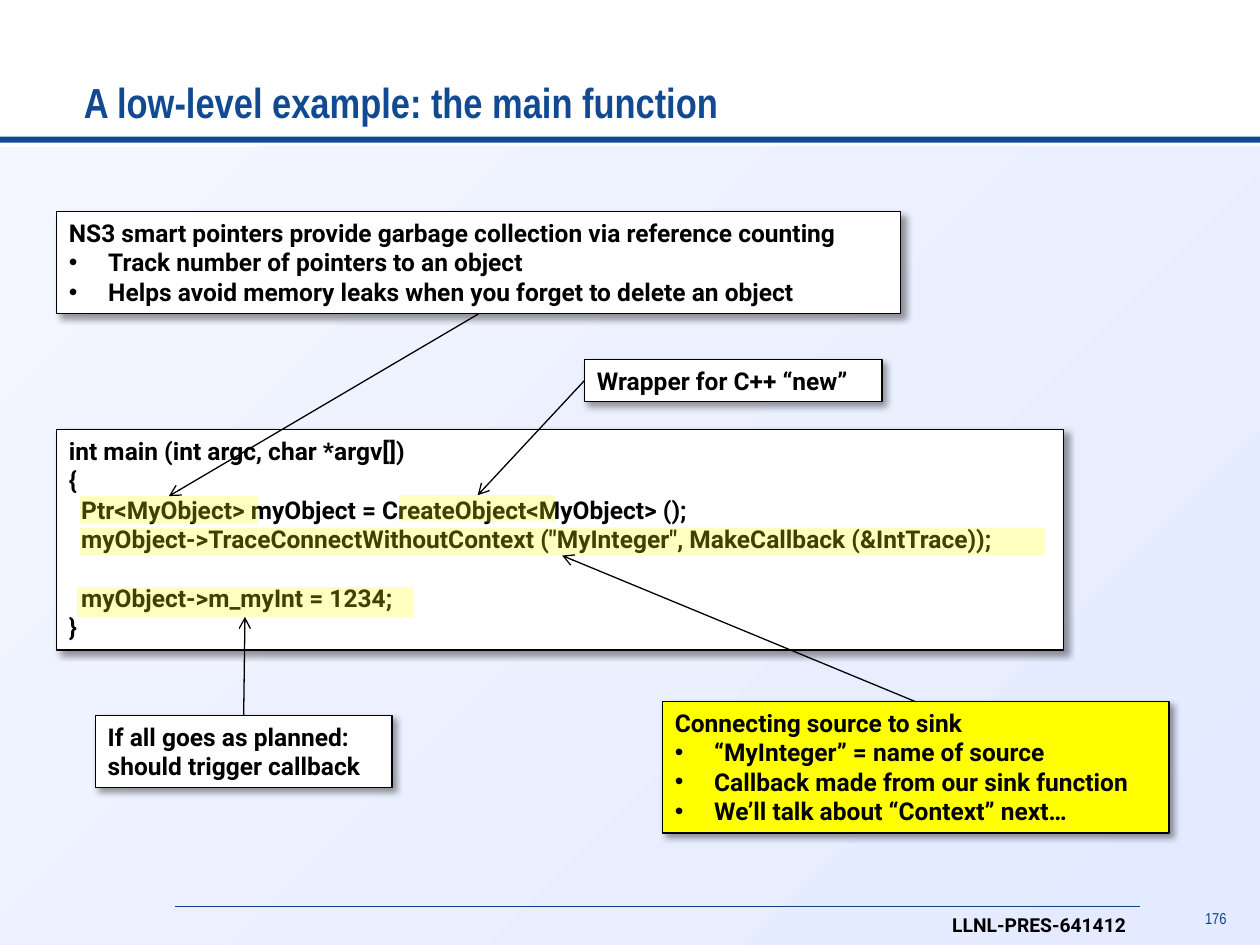
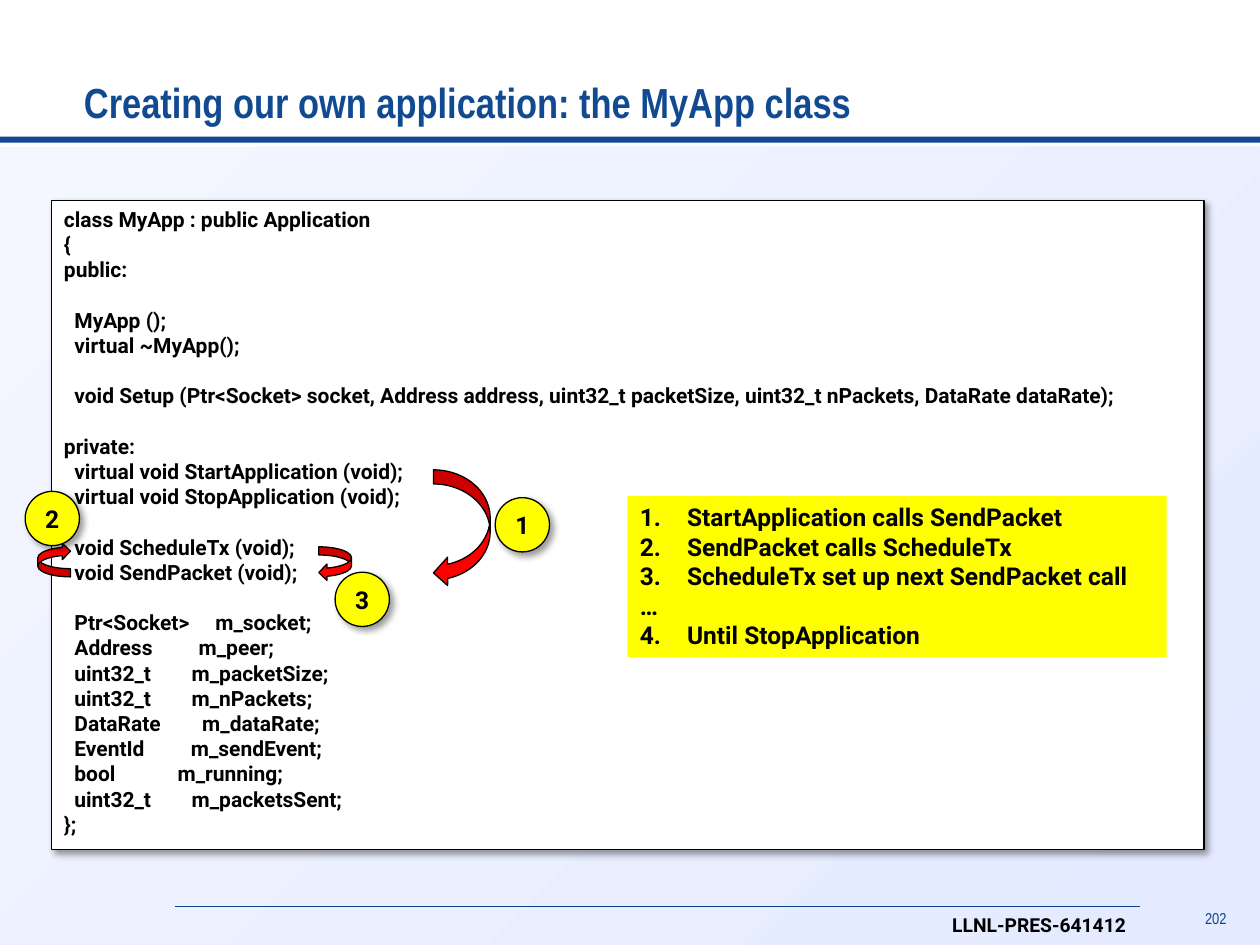
"""Build two slides that walk through low-level NS3 tracing and application code."""
import pptx
import pptx.dml.color
import pptx.enum.shapes
import pptx.enum.text
import pptx.oxml
import pptx.oxml.ns
import pptx.oxml.xmlchemy
import pptx.util

Pt = pptx.util.Pt
RGBColor = pptx.dml.color.RGBColor
SHAPE = pptx.enum.shapes.MSO_SHAPE
ANCHOR = pptx.enum.text.MSO_ANCHOR
ALIGN = pptx.enum.text.PP_ALIGN
qn = pptx.oxml.ns.qn

NAVY = RGBColor(0x12, 0x4A, 0x91)
FOOTER_BLUE = RGBColor(0x10, 0x42, 0x8C)
PALE_TOP = RGBColor(0xF4, 0xF7, 0xFF)
PALE_BOTTOM = RGBColor(0xE4, 0xEA, 0xFF)
BLACK = RGBColor(0, 0, 0)
WHITE = RGBColor(0xFF, 0xFF, 0xFF)
YELLOW = RGBColor(0xFF, 0xFF, 0)
RED = RGBColor(0xFF, 0, 0)

HEAD_FONT = "Arial Narrow"
BODY_FONT = "Roboto"
NOTE_SIZE = 14
LINE_HEIGHT = 1.2
BOTTOM, LEFT, TOP = 2, 1, 0
BULLET_INDENT = 22.5
NUMBER_INDENT = 27

MAIN_CODE = """int main (int argc, char *argv[])
{
  Ptr<MyObject> myObject = CreateObject<MyObject> ();
  myObject->TraceConnectWithoutContext ("MyInteger", MakeCallback (&IntTrace));

  myObject->m_myInt = 1234;
}"""

CLASS_CODE = """class MyApp : public Application
{
public:

  MyApp ();
  virtual ~MyApp();

  void Setup (Ptr<Socket> socket, Address address, uint32_t packetSize, uint32_t nPackets, DataRate dataRate);

private:
  virtual void StartApplication (void);
  virtual void StopApplication (void);

  void ScheduleTx (void);
  void SendPacket (void);
"""

MEMBERS = [
    ("Ptr<Socket>", "m_socket", 86.5),
    ("Address", "m_peer", 77),
    ("uint32_t", "m_packetSize", 73),
    ("uint32_t", "m_nPackets", 73),
    ("DataRate", "m_dataRate", 79),
    ("EventId", "m_sendEvent", 72.5),
    ("bool", "m_running", 65),
    ("uint32_t", "m_packetsSent", 73),
]

CALL_STEPS = [
    "StartApplication calls SendPacket",
    "SendPacket calls ScheduleTx",
    "ScheduleTx set up next SendPacket call",
]


def add_element(parent, tag, **attrs):
    """Append a DrawingML child with the given attributes."""
    child = parent.makeelement(qn(tag), {k: str(v) for k, v in attrs.items()})
    parent.append(child)
    return child


def add_run(p, text, size, color=BLACK, font=BODY_FONT, bold=True):
    """Append one formatted run to a paragraph."""
    r = p.add_run()
    r.text = text
    r.font.size, r.font.name, r.font.bold = Pt(size), font, bold
    r.font.color.rgb = color


def next_paragraph(tf):
    """Return the unused first paragraph, or a new one."""
    p = tf.paragraphs[0] if not tf.paragraphs[0].runs else tf.add_paragraph()
    p.alignment = ALIGN.LEFT
    return p


def add_line(tf, text, size=NOTE_SIZE):
    """Add one plain paragraph."""
    p = next_paragraph(tf)
    add_run(p, text, size)
    return p


def add_code(tf, code, size):
    """Add code lines, with an empty line becoming space before the next."""
    gap = False
    for text in code.splitlines():
        if text:
            p = add_line(tf, text, size)
            if gap:
                p.space_before = Pt(size * LINE_HEIGHT)
        gap = not text


def add_item(tf, text, number=None):
    """Add a bulleted paragraph, or a numbered one if a number is given."""
    p = next_paragraph(tf)
    indent = Pt(NUMBER_INDENT if number else BULLET_INDENT)
    pPr = p._p.get_or_add_pPr()
    pPr.set("marL", str(indent))
    pPr.set("indent", str(-indent))
    if number:
        add_element(pPr, "a:buFont", typeface="+mj-lt")
        add_element(pPr, "a:buAutoNum", type="arabicPeriod", startAt=number)
    else:
        add_element(pPr, "a:buFont", typeface="Arial")
        add_element(pPr, "a:buChar", char="•")
    add_run(p, text, NOTE_SIZE)


def add_member(tf, kind, name, stop, size):
    """Add a class member whose name starts at a tab stop."""
    p = next_paragraph(tf)
    tabs = add_element(p._p.get_or_add_pPr(), "a:tabLst")
    add_element(tabs, "a:tab", pos=Pt(stop), algn="l")
    add_run(p, f"  {kind}\t{name};", size)
    return p


def add_shape(slide, kind, box, fill, outlined=False, shadow=False):
    """Add a filled preset shape, optionally with outline and shadow."""
    s = slide.shapes.add_shape(kind, *map(Pt, box))
    s.shadow.inherit = False
    s.fill.solid()
    s.fill.fore_color.rgb = fill
    if outlined:
        s.line.color.rgb = BLACK
        s.line.width = Pt(0.75)
    else:
        s.line.fill.background()
    if shadow:
        effects = s._element.spPr.find(qn("a:effectLst"))
        outer = add_element(effects, "a:outerShdw", blurRad=Pt(4), dist=Pt(3),
                            dir=45 * 60000, algn="tl", rotWithShape=0)
        color = add_element(outer, "a:srgbClr", val=BLACK)
        add_element(color, "a:alpha", val=40000)
    s.text_frame.word_wrap = True
    s.text_frame.vertical_anchor = ANCHOR.TOP
    return s


def add_panel(slide, box, fill=WHITE):
    """Add an outlined rectangle with a shadow for text."""
    return add_shape(slide, SHAPE.RECTANGLE, box, fill, True, True)


def add_highlight(slide, box):
    """Add a translucent yellow marker over code."""
    s = add_shape(slide, SHAPE.RECTANGLE, box, YELLOW)
    color = s._element.spPr.find(qn("a:solidFill")).find(qn("a:srgbClr"))
    add_element(color, "a:alpha", val=25000)
    return s


def add_straight(slide, start, end, color, width):
    """Add a straight connector without a shadow."""
    c = slide.shapes.add_connector(pptx.enum.shapes.MSO_CONNECTOR.STRAIGHT,
                                   *map(Pt, start + end))
    c.line.color.rgb = color
    c.line.width = Pt(width)
    add_element(c._element.spPr, "a:effectLst")
    return c


def add_arrow(slide, source, source_side, target, target_side):
    """Join two shapes with an open-headed arrow."""
    c = add_straight(slide, (0, 0), (0, 0), BLACK, 0.75)
    c.begin_connect(source, source_side)
    c.end_connect(target, target_side)
    add_element(c.line._get_or_add_ln(), "a:tailEnd", type="arrow")


def add_curved_arrow(slide, kind, box, flip=None):
    """Add a red curved arrow, flipped if asked."""
    s = add_shape(slide, kind, box, RED, True)
    if flip:
        s._element.spPr.xfrm.set(flip, "1")


def add_step_circle(slide, left, top, number):
    """Add a numbered yellow circle."""
    s = add_shape(slide, SHAPE.OVAL, (left, top, 31, 31), YELLOW, True, True)
    tf = s.text_frame
    tf.margin_left = tf.margin_right = 0
    tf.vertical_anchor = ANCHOR.MIDDLE
    add_line(tf, str(number)).alignment = ALIGN.CENTER


def add_label(slide, box, text, size, color=BLACK, font=BODY_FONT, bold=True, inset=7.2):
    """Add a one-line text box and return its text frame."""
    tf = slide.shapes.add_textbox(*map(Pt, box)).text_frame
    tf.word_wrap = True
    tf.margin_left = Pt(inset)
    add_run(tf.paragraphs[0], text, size, color, font, bold)
    return tf


def add_base_slide(prs, title, number):
    """Add a slide with the shared background, title, rule and footer."""
    slide = prs.slides.add_slide(prs.slide_layouts[6])
    backdrop = add_shape(slide, SHAPE.RECTANGLE, (0, 84, 720, 456), PALE_TOP)
    backdrop.fill.gradient()
    backdrop.fill.gradient_angle = 315
    for stop, color in zip(backdrop.fill.gradient_stops, (PALE_TOP, PALE_BOTTOM)):
        stop.color.rgb = color
    add_shape(slide, SHAPE.RECTANGLE, (0, 78, 720, 3.5), NAVY)
    add_straight(slide, (100, 517.7), (651.5, 517.7), FOOTER_BLUE, 0.5)
    tf = add_label(slide, (683, 518.5, 25, 16), str(number), 9, FOOTER_BLUE,
                   HEAD_FONT, False, 0)
    tf.paragraphs[0].alignment = ALIGN.RIGHT
    tf.paragraphs[0].line_spacing = 0.75
    add_label(slide, (537, 518.5, 118, 21), "LLNL-PRES-641412", 11)
    tf = add_label(slide, (48, 12, 626, 64), title, 24, NAVY, HEAD_FONT, inset=0)
    tf.vertical_anchor = ANCHOR.BOTTOM
    return slide


def build_main_function(prs):
    """Build the annotated main function slide."""
    slide = add_base_slide(prs, "A low-level example: the main function", 176)
    code = add_panel(slide, (32.3, 245.5, 575.5, 126))
    add_code(code.text_frame, MAIN_CODE, 14)

    pointers = add_panel(slide, (32.3, 121, 482.5, 58.3))
    add_line(pointers.text_frame,
             "NS3 smart pointers provide garbage collection via reference counting")
    add_item(pointers.text_frame, "Track number of pointers to an object")
    add_item(pointers.text_frame,
             "Helps avoid memory leaks when you forget to delete an object")

    wrapper = add_panel(slide, (334, 205.3, 170, 24.3))
    add_line(wrapper.text_frame, "Wrapper for C++ “new”")

    connecting = add_panel(slide, (378.5, 401, 289.5, 75), YELLOW)
    add_line(connecting.text_frame, "Connecting source to sink")
    for text in ("“MyInteger” = name of source",
                 "Callback made from our sink function",
                 "We’ll talk about “Context” next…"):
        add_item(connecting.text_frame, text)

    planned = add_panel(slide, (54.5, 409, 169.5, 41.2))
    add_line(planned.text_frame, "If all goes as planned: should trigger callback")

    ptr = add_highlight(slide, (45.5, 283.5, 102, 15.3))
    create = add_highlight(slide, (228.3, 283, 89.3, 15.3))
    trace = add_highlight(slide, (45.5, 301.5, 551.5, 16))
    assign = add_highlight(slide, (44, 335.5, 192, 17))
    add_arrow(slide, pointers, BOTTOM, ptr, TOP)
    add_arrow(slide, wrapper, LEFT, create, TOP)
    add_arrow(slide, connecting, TOP, trace, BOTTOM)
    add_arrow(slide, planned, TOP, assign, BOTTOM)


def build_my_app(prs):
    """Build the MyApp class slide with its call cycle."""
    slide = add_base_slide(prs, "Creating our own application: the MyApp class", 202)
    size = 12
    tf = add_panel(slide, (29.5, 114.5, 658.5, 371)).text_frame
    add_code(tf, CLASS_CODE, size)
    members = [add_member(tf, *member, size) for member in MEMBERS]
    members[0].space_before = Pt(size * LINE_HEIGHT)
    add_line(tf, "};", size)

    add_curved_arrow(slide, SHAPE.CURVED_LEFT_ARROW, (247.7, 268.5, 32.4, 67))
    add_curved_arrow(slide, SHAPE.CURVED_RIGHT_ARROW, (21.6, 310.3, 18.7, 19.4), "flipV")
    add_curved_arrow(slide, SHAPE.CURVED_RIGHT_ARROW, (182.2, 312.5, 18.7, 19.4), "flipH")
    circles = [(283, 284.4), (14.4, 280.8), (191.5, 327)]
    for number, (left, top) in enumerate(circles, 1):
        add_step_circle(slide, left, top, number)

    steps = add_shape(slide, SHAPE.RECTANGLE, (358.5, 283.5, 308.2, 92), YELLOW).text_frame
    for number, text in enumerate(CALL_STEPS, 1):
        add_item(steps, text, number=1)
    add_line(steps, "…")
    add_item(steps, "Until StopApplication", number=len(CALL_STEPS) + 1)


def main():
    """Create and save the presentation."""
    prs = pptx.Presentation()
    prs.slide_width, prs.slide_height = Pt(720), Pt(540)
    build_main_function(prs)
    build_my_app(prs)
    prs.save("out.pptx")


if __name__ == "__main__":
    main()
